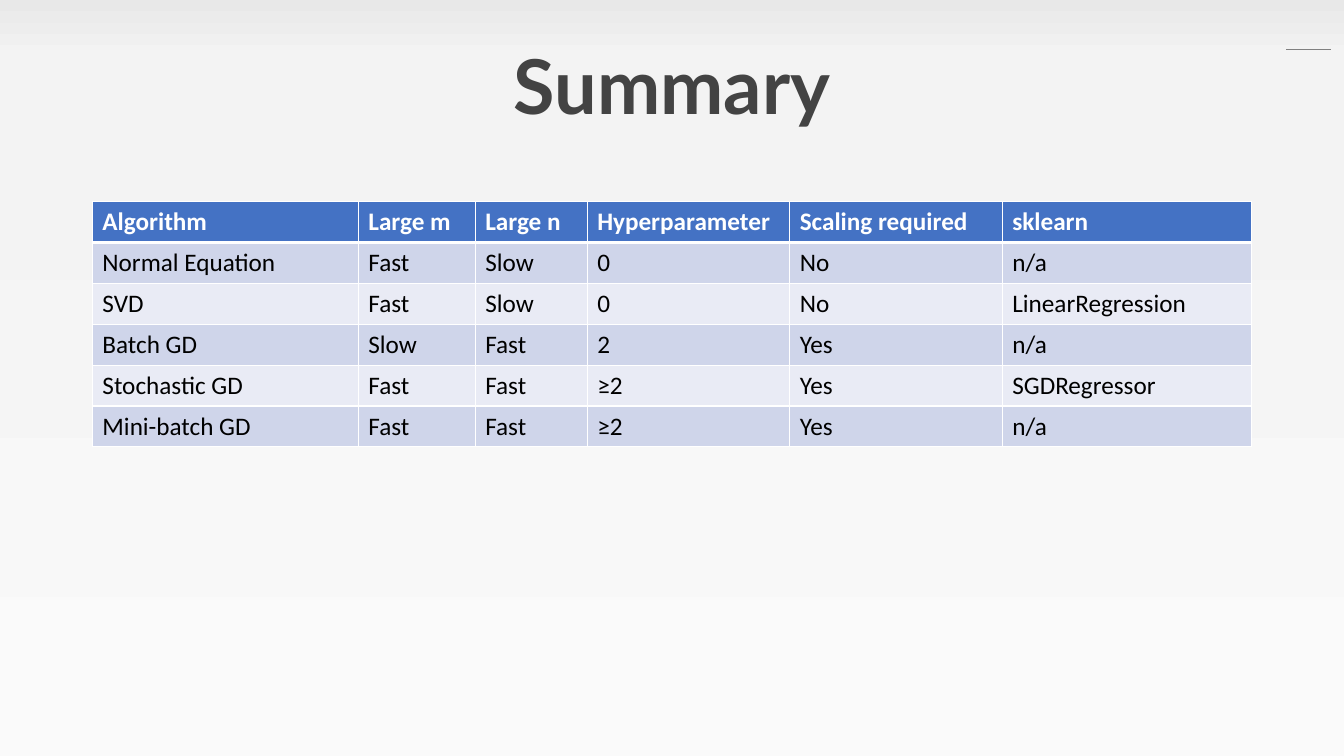
"""Build the summary slide comparing linear regression algorithms."""
from lxml.etree import SubElement
from pptx import Presentation
from pptx.dml.color import RGBColor
from pptx.enum.shapes import MSO_CONNECTOR
from pptx.enum.text import MSO_ANCHOR, PP_ALIGN
from pptx.oxml.ns import qn
from pptx.util import Pt

COLORS = {
    "title": "434343", "rule": "808080", "header": "4472C4",
    "odd": "CFD5EA", "even": "E9EBF5", "white": "FFFFFF", "black": "000000",
}
BACKDROP = [(0, "FAFAFA"), (84, "F3F3F3"), (94, "F0F0F0"), (100, "E8E8E8")]
ALGORITHMS = [
    ("Algorithm", "Large m", "Large n", "Hyperparameter", "Scaling required", "sklearn"),
    ("Normal Equation", "Fast", "Slow", "0", "No", "n/a"),
    ("SVD", "Fast", "Slow", "0", "No", "LinearRegression"),
    ("Batch GD", "Slow", "Fast", "2", "Yes", "n/a"),
    ("Stochastic GD", "Fast", "Fast", "≥2", "Yes", "SGDRegressor"),
    ("Mini-batch GD", "Fast", "Fast", "≥2", "Yes", "n/a"),
]
COLUMN_WIDTHS = [190, 83.5, 80, 144.7, 151.8, 178]
ROW_HEIGHT = 29.2


def style_text(paragraph, font_name, size, color, bold):
    font = paragraph.runs[0].font
    font.name, font.size, font.bold = font_name, Pt(size), bold
    font.color.rgb = RGBColor.from_string(COLORS[color])


def add_border(cell, side, width):
    border = SubElement(cell._tc.get_or_add_tcPr(), qn(f"a:ln{side}"), w=str(Pt(width)))
    fill = SubElement(border, qn("a:solidFill"))
    SubElement(fill, qn("a:srgbClr"), val=COLORS["white"])


prs = Presentation()
prs.slide_width, prs.slide_height = Pt(960), Pt(540)
slide = prs.slides.add_slide(prs.slide_layouts[5])

backdrop_fill = slide.background.fill
backdrop_fill.gradient()
backdrop_fill.gradient_angle = 90
stops = slide.element.find(".//" + qn("a:gsLst"))
for stop in list(stops):
    stops.remove(stop)
for position, shade in BACKDROP:
    stop = SubElement(stops, qn("a:gs"), pos=str(position * 1000))
    SubElement(stop, qn("a:srgbClr"), val=shade)

title = slide.shapes.title
title.left, title.top, title.width, title.height = Pt(0), Pt(21), Pt(960), Pt(86.4)
title.text_frame.text = "Summary"
title.text_frame.vertical_anchor = MSO_ANCHOR.MIDDLE
heading = title.text_frame.paragraphs[0]
heading.alignment = PP_ALIGN.CENTER
heading.line_spacing = 0.9
style_text(heading, "Lato", 54, "title", True)

corner_rule = slide.shapes.add_connector(
    MSO_CONNECTOR.STRAIGHT, Pt(918.7), Pt(35.3), Pt(950.4), Pt(35.3))
corner_rule.line.color.rgb = RGBColor.from_string(COLORS["rule"])
corner_rule.line.width = Pt(1)
SubElement(corner_rule._element.spPr, qn("a:effectLst"))

comparison = slide.shapes.add_table(
    len(ALGORITHMS), len(COLUMN_WIDTHS), Pt(66), Pt(144),
    Pt(sum(COLUMN_WIDTHS)), Pt(ROW_HEIGHT * len(ALGORITHMS))).table
for column, width in zip(comparison.columns, COLUMN_WIDTHS):
    column.width = Pt(width)

for row_index, entries in enumerate(ALGORITHMS):
    is_header = row_index == 0
    band = "header" if is_header else "odd" if row_index % 2 else "even"
    comparison.rows[row_index].height = Pt(ROW_HEIGHT)
    for column_index, entry in enumerate(entries):
        cell = comparison.cell(row_index, column_index)
        for side in "LRTB":
            meets_header = (row_index, side) in [(0, "B"), (1, "T")]
            add_border(cell, side, 3 if meets_header else 1)
        cell.fill.solid()
        cell.fill.fore_color.rgb = RGBColor.from_string(COLORS[band])
        cell.text_frame.text = entry
        style_text(cell.text_frame.paragraphs[0], "Calibri", 18,
                   "white" if is_header else "black", is_header)

prs.save("out.pptx")
